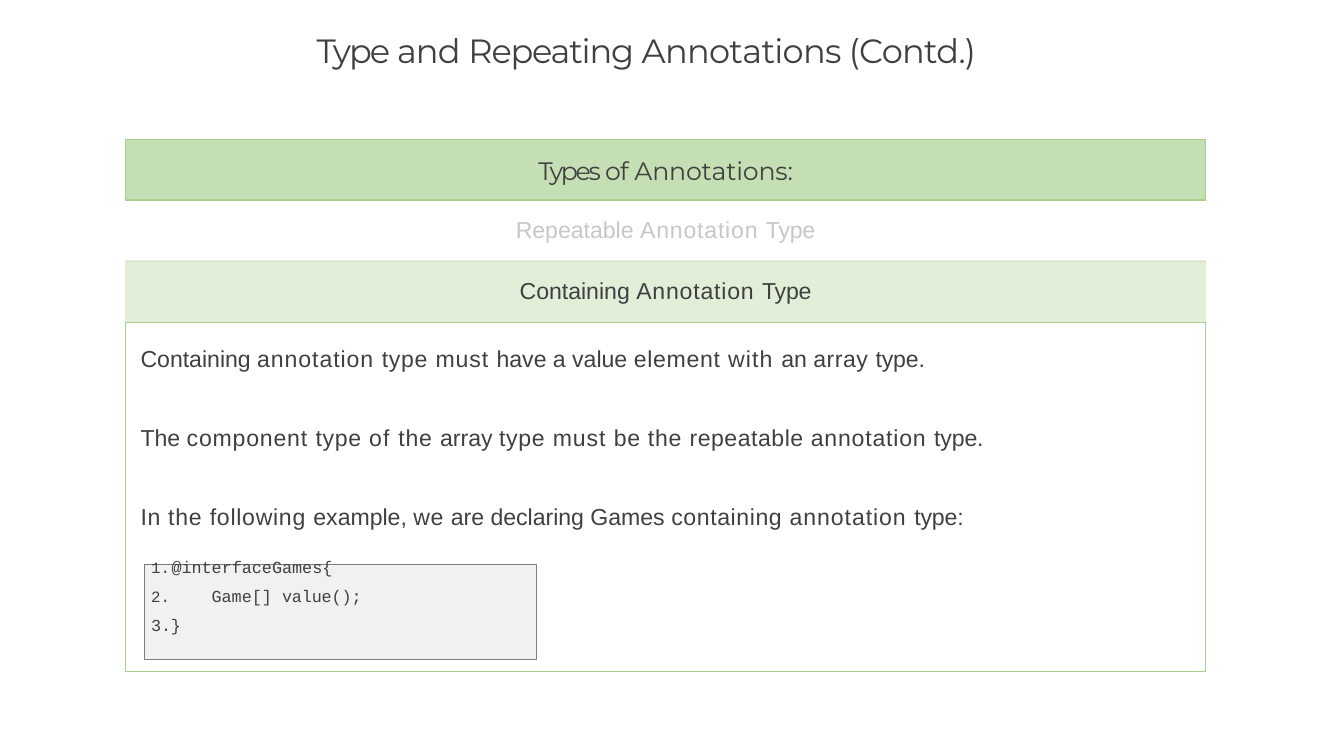
"""Build the slide on type and repeating annotations."""
from lxml import etree
from pptx import Presentation
from pptx.dml.color import RGBColor
from pptx.enum.shapes import MSO_SHAPE
from pptx.enum.text import MSO_ANCHOR, PP_ALIGN
from pptx.oxml.ns import qn
from pptx.util import Inches, Pt

RECT = MSO_SHAPE.RECTANGLE
TOP = MSO_ANCHOR.TOP
LEFT, CENTER = PP_ALIGN.LEFT, PP_ALIGN.CENTER

COLORS = {"text": "404040", "border": "A9D18E", "header": "C5DFB4", "active": "E1EFD9",
          "veil": "FFFFFF", "code": "F1F1F1", "code_line": "7E7E7E"}

TITLE = [("Type ", -1.9), ("and ", -0.9), ("Repeating ", -1.2), ("Annotations (Contd.)", -0.7)]
BANDS = [
    {"runs": [("Types ", -2.2), ("of ", -0.8), ("Annotations:", -0.2)], "font": "Montserrat",
     "size": 24, "inset": 0.22, "fill": "header", "borders": {"L": 1, "R": 1, "T": 1, "B": 2.25}},
    {"runs": [("Repeatable ", 0), ("Annotation ", 0.8), ("Type", -0.2)], "font": "Arial",
     "size": 22, "inset": 0.24, "fill": "veil", "borders": {"T": 2.25, "B": 2.25}},
    {"runs": [("Containing ", 0), ("Annotation ", 0.8), ("Type", -0.2)], "font": "Arial",
     "size": 22, "inset": 0.24, "fill": "active", "borders": {"T": 2.25, "B": 1}},
]
RULES = [
    [("Containing ", 0), ("annotation ", 0.9), ("type ", 0.7), ("must ", 0.9),
     ("have a value ", 0), ("element ", 0.7), ("with ", 1.1), ("an ", 0), ("array ", 0.5),
     ("type.", -0.1)],
    [("The ", 0), ("component ", 0.8), ("type ", 0.7), ("of ", 1.1), ("the ", 0.8),
     ("array ", 0), ("type ", 0.7), ("must ", 0.9), ("be ", 0.6), ("the ", 0.8),
     ("repeatable ", 0.5), ("annotation ", 0.8), ("type.", -0.1)],
    [("In ", 0.6), ("the ", 0.8), ("following ", 0.7), ("example, ", 0), ("we ", 0.5),
     ("are declaring Games ", 0), ("containing ", 0.6), ("annotation ", 0.9), ("type:", -0.1)],
]
CODE = [
    {"runs": [("@interfaceGames{", 0)], "margin": 0.61, "indent": -0.27, "before": 28},
    {"runs": [("Game[] ", 0), ("value();", -0.1)], "margin": 1.14, "indent": -0.8, "before": 9.6},
    {"runs": [("3.}", -0.2)], "margin": 0.34, "indent": 0, "before": 9.6},
]
ROW_HEIGHTS = [0.8, 0.81, 0.82, 4.61]
TABLE_BOX = (1.66, 1.84, 14.29, sum(ROW_HEIGHTS))
CODE_BOX = (1.91, 7.46, 5.18, 1.26)
VEIL_BOX = (1.6, 2.66, 14.58, 0.8)


def rgb(name):
    return RGBColor.from_string(COLORS[name])


def box(values):
    return [Inches(v) for v in values]


def write(p, runs, font, size, align=LEFT, before=0, margin=0, indent=0):
    p.alignment = align
    p.space_before = Pt(before)
    p.line_spacing = 1.0
    p.font.name, p.font.size, p.font.bold = font, Pt(size), False
    p.font.color.rgb = rgb("text")
    pPr = p._p.get_or_add_pPr()
    pPr.set("marL", str(Inches(margin)))
    pPr.set("indent", str(Inches(indent)))
    for text, spacing in runs:
        r = p.add_run()
        r.text = text
        r._r.get_or_add_rPr().set("spc", str(round(spacing * 100)))


def number(p):
    pPr = p._p.get_or_add_pPr()
    size = etree.Element(qn("a:buSzPct"), val="94000")
    kind = etree.Element(qn("a:buAutoNum"), type="arabicPeriod")
    pPr.find(qn("a:defRPr")).addprevious(size)
    size.addnext(kind)


def set_borders(cell, widths):
    tcPr = cell._tc.get_or_add_tcPr()
    for side in "LRTB":
        ln = etree.SubElement(tcPr, qn("a:ln" + side), w=str(Pt(widths.get(side, 0))))
        if side in widths:
            fill = etree.SubElement(ln, qn("a:solidFill"))
            etree.SubElement(fill, qn("a:srgbClr"), val=COLORS["border"])
        else:
            etree.SubElement(ln, qn("a:noFill"))


def set_inset(cell, top):
    cell.margin_left = cell.margin_right = cell.margin_bottom = 0
    cell.margin_top = Inches(top)
    cell.vertical_anchor = TOP


def add_box(s, values, fill, line=None):
    sp = s.shapes.add_shape(RECT, *box(values))
    sp.shadow.inherit = False
    sp.fill.solid()
    sp.fill.fore_color.rgb = rgb(fill)
    if line:
        sp.line.color.rgb = rgb(line)
        sp.line.width = Pt(0.72)
    else:
        sp.line.fill.background()
    return sp


def make_translucent(fill_parent):
    color = fill_parent.find(qn("a:solidFill")).find(qn("a:srgbClr"))
    etree.SubElement(color, qn("a:alpha"), val="71000")


def add_title(s):
    sp = s.shapes.title
    sp.left, sp.top, sp.width, sp.height = box((4.18, 0.38, 9.43, 0.56))
    tf = sp.text_frame
    tf.margin_left = tf.margin_right = tf.margin_bottom = 0
    tf.margin_top = Inches(0.01)
    tf.vertical_anchor = TOP
    tf.word_wrap = True
    write(tf.paragraphs[0], TITLE, "Montserrat", 32, before=1.1, margin=0.01)


def add_annotation_table(s):
    table = s.shapes.add_table(len(ROW_HEIGHTS), 1, *box(TABLE_BOX)).table
    table.first_row = table.horz_banding = False
    for row, height in zip(table.rows, ROW_HEIGHTS):
        row.height = Inches(height)
    for i, band in enumerate(BANDS):
        cell = table.cell(i, 0)
        set_inset(cell, band["inset"])
        set_borders(cell, band["borders"])
        cell.fill.solid()
        cell.fill.fore_color.rgb = rgb(band["fill"])
        if band["fill"] == "veil":
            make_translucent(cell._tc.tcPr)
        write(cell.text_frame.paragraphs[0], band["runs"], band["font"], band["size"], CENTER)

    cell = table.cell(len(BANDS), 0)
    set_inset(cell, 0.32)
    set_borders(cell, dict.fromkeys("LRTB", 1))
    cell.fill.background()
    tf = cell.text_frame
    for i, runs in enumerate(RULES):
        p = tf.add_paragraph() if i else tf.paragraphs[0]
        write(p, runs, "Arial", 22, before=50.4 if i else 0, margin=0.2)
    for line in CODE:
        p = tf.add_paragraph()
        write(p, font="Courier New", size=16, **line)
        if line["indent"]:
            number(p)


def main():
    prs = Presentation()
    prs.slide_width, prs.slide_height = Inches(17.78), Inches(10)
    s = prs.slides.add_slide(prs.slide_layouts[5])
    add_title(s)
    add_box(s, CODE_BOX, "code", "code_line")
    add_annotation_table(s)
    make_translucent(add_box(s, VEIL_BOX, "veil")._element.spPr)
    prs.save("out.pptx")


if __name__ == "__main__":
    main()
